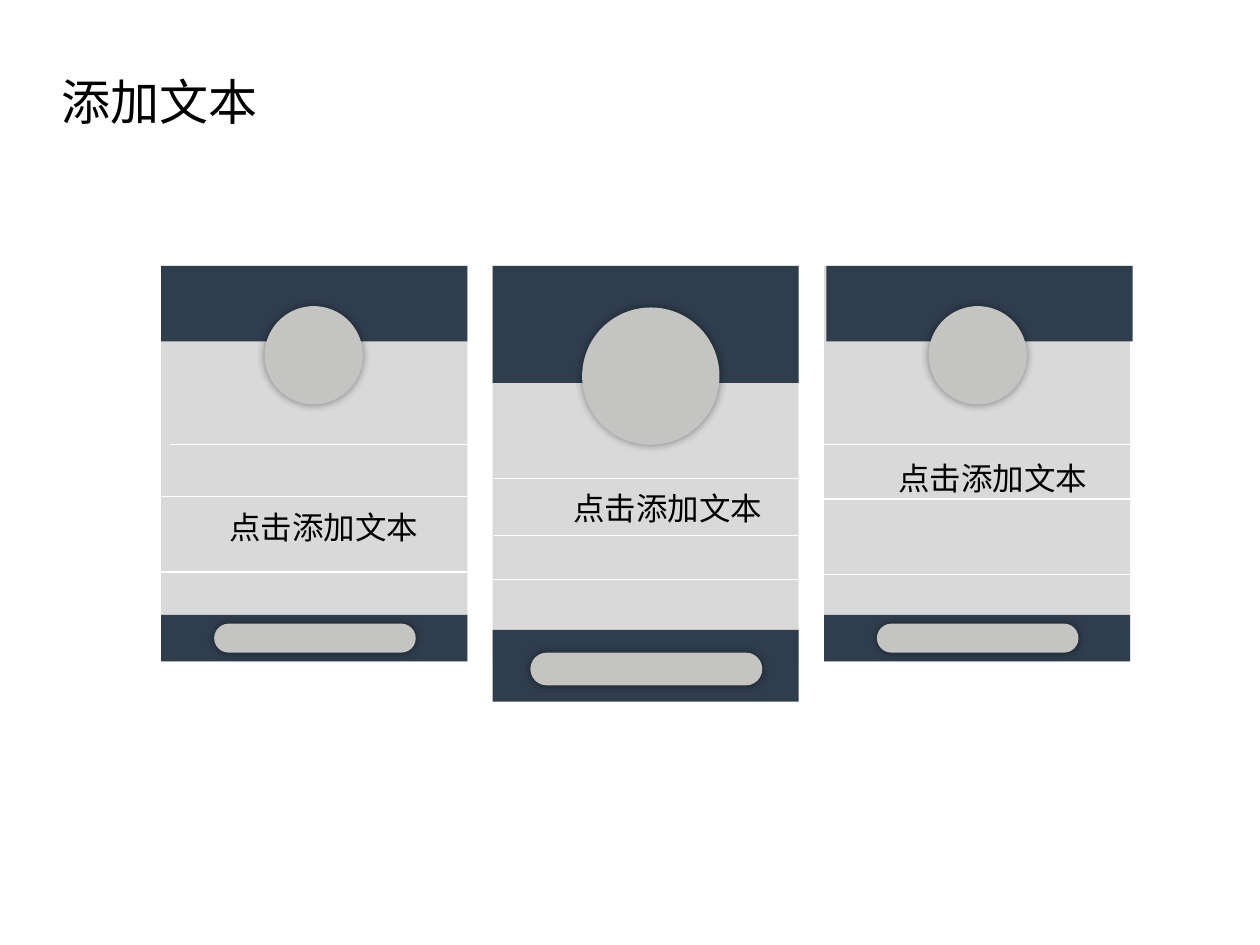
from dataclasses import dataclass

import lxml.etree
import pptx
import pptx.dml.color
import pptx.enum.shapes
import pptx.enum.text
import pptx.oxml
import pptx.oxml.ns
import pptx.util

Inches = pptx.util.Inches
Pt = pptx.util.Pt
RGBColor = pptx.dml.color.RGBColor
Shape = pptx.enum.shapes.MSO_SHAPE
qn = pptx.oxml.ns.qn


@dataclass(frozen=True)
class Theme:
    font: str = "Noto Sans CJK SC"
    title_size: int = 28
    label_size: int = 18
    rule_width: float = 0.75
    text: str = "000000"
    panel: str = "D9D9D9"
    band: str = "303D4D"
    accent: str = "C4C4C2"
    rule: str = "FFFFFF"


@dataclass(frozen=True)
class Card:
    left: float
    header_left: float
    header_height: float
    footer: tuple  # top, height
    rules: tuple  # left, y
    circle: tuple  # left, top, diameter
    pill: tuple  # left, top, width, height
    label: tuple  # left, top


THEME = Theme()
CARD_TOP, CARD_WIDTH, CARD_HEIGHT = 2.11, 2.43, 3.14
CARDS = (
    Card(1.28, 1.28, 0.6, (4.88, 0.37),
         ((1.35, 3.53), (1.28, 3.94), (1.28, 4.54)),
         (2.1, 2.43, 0.78), (1.7, 4.95, 1.6, 0.23), (1.72, 3.98)),
    Card(3.91, 3.91, 0.93, (5, 0.57),
         ((3.92, 3.8), (3.92, 4.25), (3.91, 4.6)),
         (4.62, 2.44, 1.09), (4.21, 5.18, 1.84, 0.26), (4.45, 3.83)),
    Card(6.54, 6.56, 0.6, (4.88, 0.37),
         ((6.54, 3.53), (6.54, 3.96), (6.54, 4.56)),
         (7.37, 2.43, 0.78), (6.96, 4.95, 1.6, 0.23), (7.03, 3.59)),
)


def add_block(page, kind, left, top, width, height, color):
    shape = page.shapes.add_shape(
        kind, Inches(left), Inches(top), Inches(width), Inches(height))
    shape.shadow.inherit = False
    shape.fill.solid()
    shape.fill.fore_color.rgb = RGBColor.from_string(color)
    shape.line.fill.background()
    return shape


def add_glow_shadow(shape):
    """Give the shape a soft, centred black shadow."""
    effects = shape._element.spPr.find(qn("a:effectLst"))
    shadow = lxml.etree.SubElement(
        effects, qn("a:outerShdw"), blurRad=str(Pt(5)), dist="0",
        algn="ctr", rotWithShape="0")
    color = lxml.etree.SubElement(shadow, qn("a:srgbClr"), val="000000")
    lxml.etree.SubElement(color, qn("a:alpha"), val="40000")


def add_rule(page, left, y):
    rule = page.shapes.add_connector(
        pptx.enum.shapes.MSO_CONNECTOR.STRAIGHT,
        Inches(left), Inches(y), Inches(left + CARD_WIDTH), Inches(y))
    rule.line.color.rgb = RGBColor.from_string(THEME.rule)
    rule.line.width = Pt(THEME.rule_width)
    lxml.etree.SubElement(rule._element.spPr, qn("a:effectLst"))


def add_text(page, left, top, width, height, text, size):
    box = page.shapes.add_textbox(
        Inches(left), Inches(top), Inches(width), Inches(height))
    frame = box.text_frame
    frame.word_wrap = False
    frame.auto_size = pptx.enum.text.MSO_AUTO_SIZE.SHAPE_TO_FIT_TEXT
    para = frame.paragraphs[0]
    para.text = text
    para.font.size = Pt(size)
    para.font.name = THEME.font
    para.font.color.rgb = RGBColor.from_string(THEME.text)
    defaults = para._p.pPr.find(qn("a:defRPr"))
    lxml.etree.SubElement(defaults, qn("a:ea"), typeface=THEME.font)


def add_card(page, card):
    add_block(page, Shape.RECTANGLE, card.left, CARD_TOP,
              CARD_WIDTH, CARD_HEIGHT, THEME.panel)
    add_block(page, Shape.RECTANGLE, card.header_left, CARD_TOP,
              CARD_WIDTH, card.header_height, THEME.band)
    footer_top, footer_height = card.footer
    add_block(page, Shape.RECTANGLE, card.left, footer_top,
              CARD_WIDTH, footer_height, THEME.band)
    for left, y in card.rules:
        add_rule(page, left, y)

    left, top, diameter = card.circle
    circle = add_block(page, Shape.OVAL, left, top,
                       diameter, diameter, THEME.accent)
    pill = add_block(page, Shape.ROUNDED_RECTANGLE, *card.pill, THEME.accent)
    pill.adjustments[0] = 0.5
    for shape in (circle, pill):
        add_glow_shadow(shape)


def main():
    deck = pptx.Presentation()
    deck.slide_width, deck.slide_height = Inches(10), Inches(7.5)
    page = deck.slides.add_slide(deck.slide_layouts[6])
    # Right to left, so that each card covers the rule ends of its neighbour.
    for card in reversed(CARDS):
        add_card(page, card)
    add_text(page, 0.39, 0.52, 1.77, 0.57, "添加文本", THEME.title_size)
    for card in CARDS:
        add_text(page, *card.label, 1.72, 0.4, "点击添加文本", THEME.label_size)
    deck.save("out.pptx")


if __name__ == "__main__":
    main()
